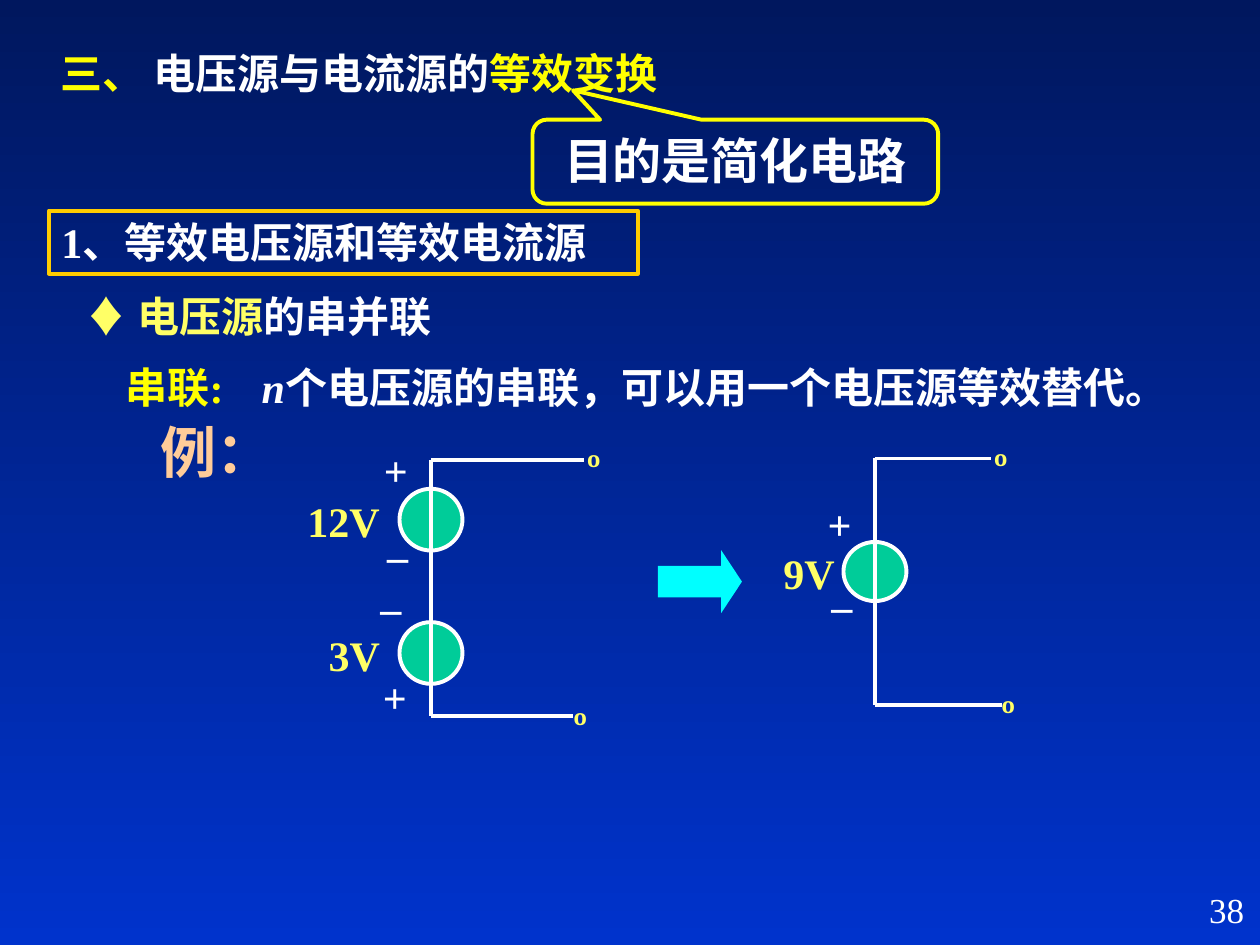
from itertools import pairwise

from lxml import etree
from pptx import Presentation
from pptx.dml.color import RGBColor
from pptx.enum.shapes import MSO_CONNECTOR, MSO_SHAPE
from pptx.enum.text import MSO_ANCHOR, PP_ALIGN
from pptx.oxml.ns import qn
from pptx.util import Pt

LEFT, CENTER, RIGHT = PP_ALIGN.LEFT, PP_ALIGN.CENTER, PP_ALIGN.RIGHT
TOP, MIDDLE = MSO_ANCHOR.TOP, MSO_ANCHOR.MIDDLE
RECTANGLE, ELLIPSE = MSO_SHAPE.RECTANGLE, MSO_SHAPE.OVAL
CALLOUT, ARROW = MSO_SHAPE.ROUNDED_RECTANGULAR_CALLOUT, MSO_SHAPE.RIGHT_ARROW
STRAIGHT = MSO_CONNECTOR.STRAIGHT

COLORS = {
    "navy": "00175E", "blue": "0033CC", "white": "FFFFFF", "yellow": "FFFF00",
    "pale": "FFFF66", "gold": "FFCC00", "peach": "FFCC99", "green": "00CC99",
    "cyan": "00FFFF",
}
FONT = "Times New Roman"
LINE_WIDTH = Pt(2.25)
LABEL_HEIGHT = 36


def rgb(name):
    return RGBColor.from_string(COLORS[name])


def paint_background(page):
    fill = page.background.fill
    fill.gradient()
    fill.gradient_angle = 270
    for stop, position, color in zip(fill.gradient_stops, (0, 1), ("navy", "blue")):
        stop.position = position
        stop.color.rgb = rgb(color)


def write(box, spans, size=24, align=LEFT, anchor=TOP, wrap=True, bold=True):
    """Fill a box with one paragraph of (text, colour[, font]) spans."""
    frame = box.text_frame
    frame.word_wrap = wrap
    frame.vertical_anchor = anchor
    para = frame.paragraphs[0]
    para.alignment = align
    for text, color, *font in spans:
        span = para.add_run()
        span.text = text
        span.font.name = font[0] if font else FONT
        span.font.size = Pt(size)
        span.font.bold = bold
        span.font.color.rgb = rgb(color)
    return para


def add_text(shapes, left, top, width, height, spans, **style):
    box = shapes.add_textbox(Pt(left), Pt(top), Pt(width), Pt(height))
    return write(box, spans, **style)


def add_figure(shapes, kind, left, top, width, height, fill=None, line=None):
    figure = shapes.add_shape(kind, Pt(left), Pt(top), Pt(width), Pt(height))
    figure.shadow.inherit = False
    if fill:
        figure.fill.solid()
        figure.fill.fore_color.rgb = rgb(fill)
    else:
        figure.fill.background()
    if line:
        figure.line.color.rgb = rgb(line)
        figure.line.width = LINE_WIDTH
    else:
        figure.line.fill.background()
    return figure


def add_wire(shapes, x1, y1, x2, y2):
    wire = shapes.add_connector(STRAIGHT, Pt(x1), Pt(y1), Pt(x2), Pt(y2))
    wire.line.color.rgb = rgb("white")
    wire.line.width = LINE_WIDTH
    etree.SubElement(wire._element.spPr, qn("a:effectLst"))


def add_sign(shapes, sign, left, top):
    add_text(shapes, left, top, 28, LABEL_HEIGHT, [(sign, "white")], align=CENTER)


def add_source(shapes, axis, top, height, voltage, label, signs):
    """Draw a voltage source; label is (left, top, width), signs (sign, left, top)."""
    add_figure(shapes, ELLIPSE, axis - 18, top, 36, height, "green", "white")
    left, label_top, width = label
    add_text(shapes, left, label_top, width, LABEL_HEIGHT, [(voltage, "pale")])
    for sign in signs:
        add_sign(shapes, *sign)


def add_branch(shapes, axis, levels, ends):
    """Draw the vertical wire through the levels and a lead to each terminal."""
    for upper, lower in pairwise(levels):
        add_wire(shapes, axis, upper, axis, lower)
    for level, end in zip((levels[0], levels[-1]), ends):
        add_wire(shapes, axis, level, end, level)


def add_terminals(shapes, corners):
    for left, top in corners:
        add_text(shapes, left, top, 16.5, LABEL_HEIGHT, [("º", "pale")], align=CENTER)


def add_series_circuit(page):
    shapes = page.shapes.add_group_shape().shapes
    axis = 246.3
    add_source(shapes, axis, 279.3, 35.3, "12V", (168.5, 279.4, 60),
               [("+", 212.2, 250.5), ("_", 213.2, 291)])
    add_source(shapes, axis, 355.5, 35.3, "3V", (180.7, 356.4, 54),
               [("_", 209.3, 320.5), ("+", 211.7, 380.3)])
    add_branch(shapes, axis, (263, 314.6, 355.5, 409), (333.5, 327.5))
    add_terminals(shapes, [(328.3, 249), (320.6, 396)])


def add_equivalent_circuit(page):
    shapes = page.shapes.add_group_shape().shapes
    axis = 500
    add_source(shapes, axis, 309.7, 33.8, "9V", (440.6, 309.6, 53),
               [("+", 465.8, 281.5), ("_", 467, 319.7)])
    add_branch(shapes, axis, (262, 403), (566.2, 572.3))
    add_terminals(shapes, [(560.9, 248), (565.2, 389.5)])


def add_headings(page):
    shapes = page.shapes
    add_text(shapes, 27.4, 20.2, 558, 42.5,
             [("三、 ", "yellow"), ("电压源与电流源的", "white"), ("等效变换", "yellow")],
             anchor=MIDDLE)
    callout = add_figure(shapes, CALLOUT, 304.3, 68.4, 231.8, 48, line="yellow")
    for index, value in enumerate((-0.4, -0.85, 0.17)):
        callout.adjustments[index] = value
    write(callout, [("目的是简化电路", "white")], size=28, align=CENTER)
    section = add_figure(shapes, RECTANGLE, 28, 120.4, 336.5, 36, line="gold")
    write(section, [("1、等效电压源和等效电流源", "white")])


def add_statement(page):
    shapes = page.shapes
    add_text(shapes, 42, 162.7, 349, 36,
             [("♦", "pale", "Arial"), (" 电压源", "pale"), ("的串并联", "white")])
    add_text(shapes, 64.8, 203.3, 78, 36, [("串联:", "yellow")])
    rule = add_text(shapes, 142.5, 203.3, 595, 36,
                    [("n", "white"),
                     ("个电压源的串联，可以用一个电压源等效替代。", "white")])
    rule.runs[0].font.italic = True
    add_text(shapes, 84.5, 235, 78.5, 46, [("例：", "peach")], size=32, wrap=False)


def main():
    deck = Presentation()
    deck.slide_width, deck.slide_height = Pt(720), Pt(540)
    page = deck.slides.add_slide(deck.slide_layouts[6])
    paint_background(page)
    add_headings(page)
    add_statement(page)
    add_equivalent_circuit(page)
    arrow = add_figure(page.shapes, ARROW, 376, 314.4, 48, 36, "cyan")
    arrow.adjustments[0], arrow.adjustments[1] = 0.5, 0.33
    add_series_circuit(page)
    add_text(page.shapes, 568, 504, 150, 36, [("38", "white")],
             size=20, align=RIGHT, bold=False)
    deck.save("out.pptx")


if __name__ == "__main__":
    main()
